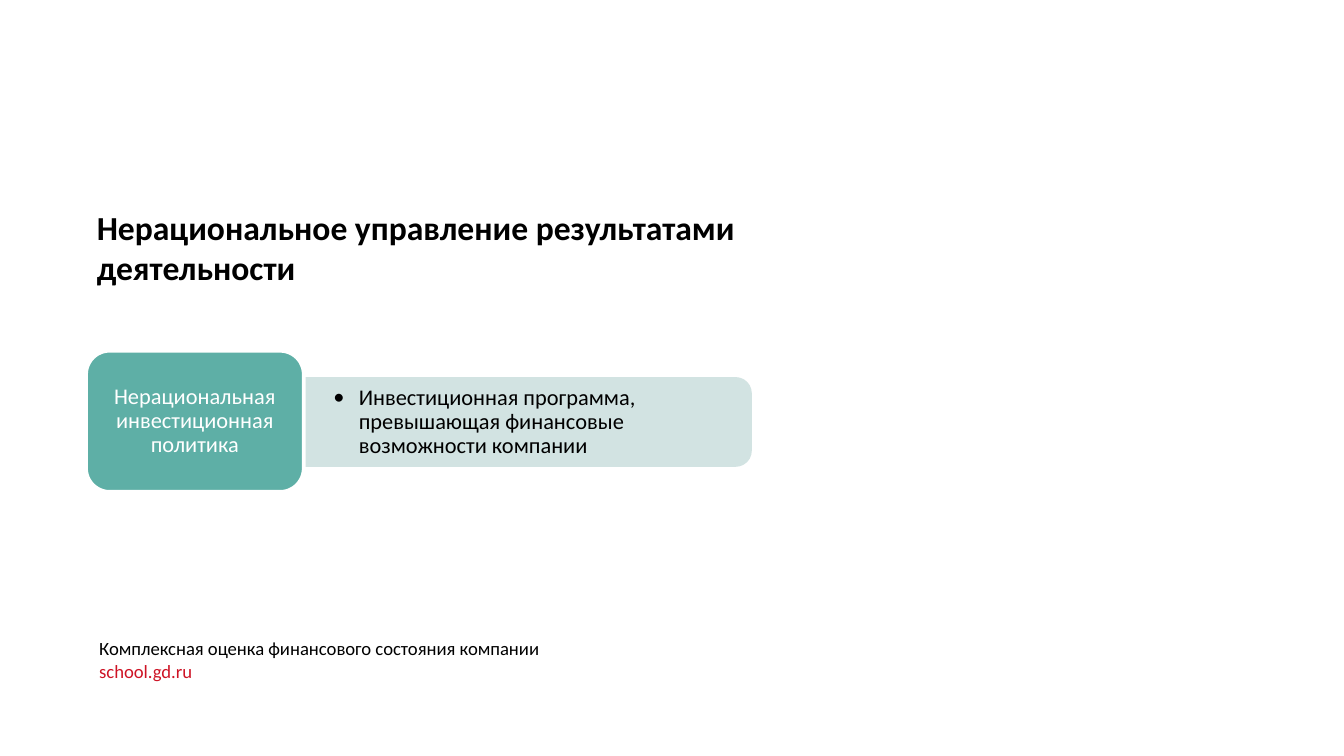
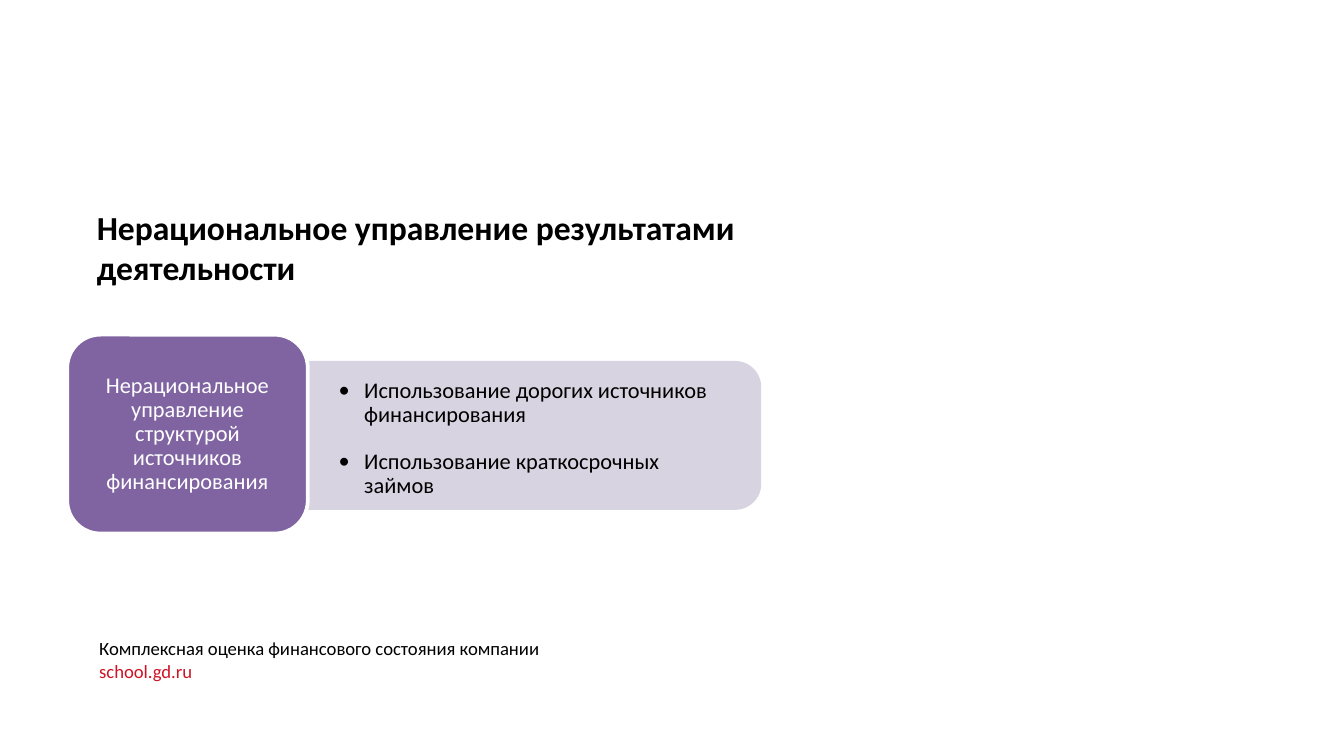
from lxml import etree
from pptx import Presentation
from pptx.dml.color import RGBColor
from pptx.enum.shapes import MSO_SHAPE
from pptx.enum.text import MSO_ANCHOR, MSO_AUTO_SIZE, PP_ALIGN
from pptx.oxml.ns import qn
from pptx.util import Inches, Pt

ROUNDED, ROUNDED_TOP = MSO_SHAPE.ROUNDED_RECTANGLE, MSO_SHAPE.ROUND_2_SAME_RECTANGLE
TOP, MIDDLE = MSO_ANCHOR.TOP, MSO_ANCHOR.MIDDLE
LEFT, CENTER = PP_ALIGN.LEFT, PP_ALIGN.CENTER
NO_FIT, GROW = MSO_AUTO_SIZE.NONE, MSO_AUTO_SIZE.SHAPE_TO_FIT_TEXT

FONT = "Calibri"
COLORS = {
    "text": "000000", "white": "FFFFFF", "link": "CE1325",
    "teal": "5EAFA6", "pale teal": "D2E3E2",
    "violet": "8064A2", "pale violet": "D8D3E0",
}
TITLE = "Нерациональное управление результатами деятельности"
FOOTER = ["Комплексная оценка финансового состояния компании", "school.gd.ru"]

# Boxes are left, top, width, height
SLIDES = [
    {"label": "Нерациональная инвестиционная политика",
     "label_box": (0.64, 2.61, 1.62, 1.05), "color": "teal",
     "points": ["Инвестиционная программа, превышающая финансовые возможности компании"],
     "points_box": (2.21, 2.85, 3.35, 0.58), "panel_box": (2.21, 2.82, 3.37, 0.64)},
    {"label": "Нерациональное управление структурой источников финансирования",
     "label_box": (0.5, 2.49, 1.79, 1.48), "color": "violet",
     "points": ["Использование дорогих источников финансирования",
                "Использование краткосрочных займов"],
     "points_box": (2.25, 2.81, 3.37, 0.91), "panel_box": (2.25, 2.7, 3.4, 1.08)},
]


def write(shape, lines, size=12, colors=("text",), bold=False, align=LEFT, anchor=TOP,
          insets=(0.1, 0.05), spacing=1.0, after=0, bullet=False, wrap=True, fit=NO_FIT):
    """Fill a shape with paragraphs; the last colour serves all further lines."""
    frame = shape.text_frame
    frame.word_wrap, frame.auto_size, frame.vertical_anchor = wrap, fit, anchor
    frame.margin_left = frame.margin_right = Inches(insets[0])
    frame.margin_top = frame.margin_bottom = Inches(insets[1])
    for i, line in enumerate(lines):
        paragraph = frame.paragraphs[0] if i == 0 else frame.add_paragraph()
        if bullet:
            paragraph.level = 1
            props = paragraph._p.get_or_add_pPr()
            props.set("marL", str(Inches(0.19)))
            props.set("indent", str(-Inches(0.19)))
            etree.SubElement(props, qn("a:buFont")).set("typeface", FONT)
            etree.SubElement(props, qn("a:buChar")).set("char", "•")
        paragraph.alignment = align
        paragraph.line_spacing = spacing
        paragraph.space_before, paragraph.space_after = Pt(0), Pt(after)
        run = paragraph.add_run()
        run.text = line
        run.font.name, run.font.size, run.font.bold = FONT, Pt(size), bold
        run.font.color.rgb = RGBColor.from_string(COLORS[colors[min(i, len(colors) - 1)]])


def add_block(slide, kind, box, fill, line):
    block = slide.shapes.add_shape(kind, *map(Inches, box))
    block.shadow.inherit = False
    block.fill.solid()
    block.fill.fore_color.rgb = RGBColor.from_string(COLORS[fill])
    block.line.color.rgb = RGBColor.from_string(COLORS[line])
    block.line.width = Pt(2)
    return block


# Widescreen, 16:9
prs = Presentation()
prs.slide_width = Inches(10)
prs.slide_height = prs.slide_width * 9 // 16

for content in SLIDES:
    slide = prs.slides.add_slide(prs.slide_layouts[5])

    # Title
    title = slide.shapes.title
    title.left, title.top = Inches(0.62), Inches(1.49)
    title.width, title.height = Inches(5.85), Inches(0.46)
    write(title, [TITLE], size=18, bold=True)

    # Footer
    footer = slide.shapes.add_textbox(Inches(0.64), Inches(4.69), Inches(3.53), Inches(0.44))
    write(footer, FOOTER, size=10, colors=("text", "link"), wrap=False, fit=GROW)

    # Pale panel: a top-rounded rectangle turned to round its right side
    left, top, width, height = content["panel_box"]
    upright = (left + (width - height) / 2, top + (height - width) / 2, height, width)
    pale = "pale " + content["color"]
    panel = add_block(slide, ROUNDED_TOP, upright, pale, pale)
    panel.rotation = 90

    # Points on the panel
    points = slide.shapes.add_textbox(*map(Inches, content["points_box"]))
    write(points, content["points"], anchor=MIDDLE, insets=(0.27, 0.14),
          spacing=0.9, after=12, bullet=True)

    # Label
    label = add_block(slide, ROUNDED, content["label_box"], content["color"], "white")
    write(label, [content["label"]], colors=("white",), align=CENTER, anchor=MIDDLE,
          insets=(0.04, 0.03), spacing=0.9)

prs.save("out.pptx")
